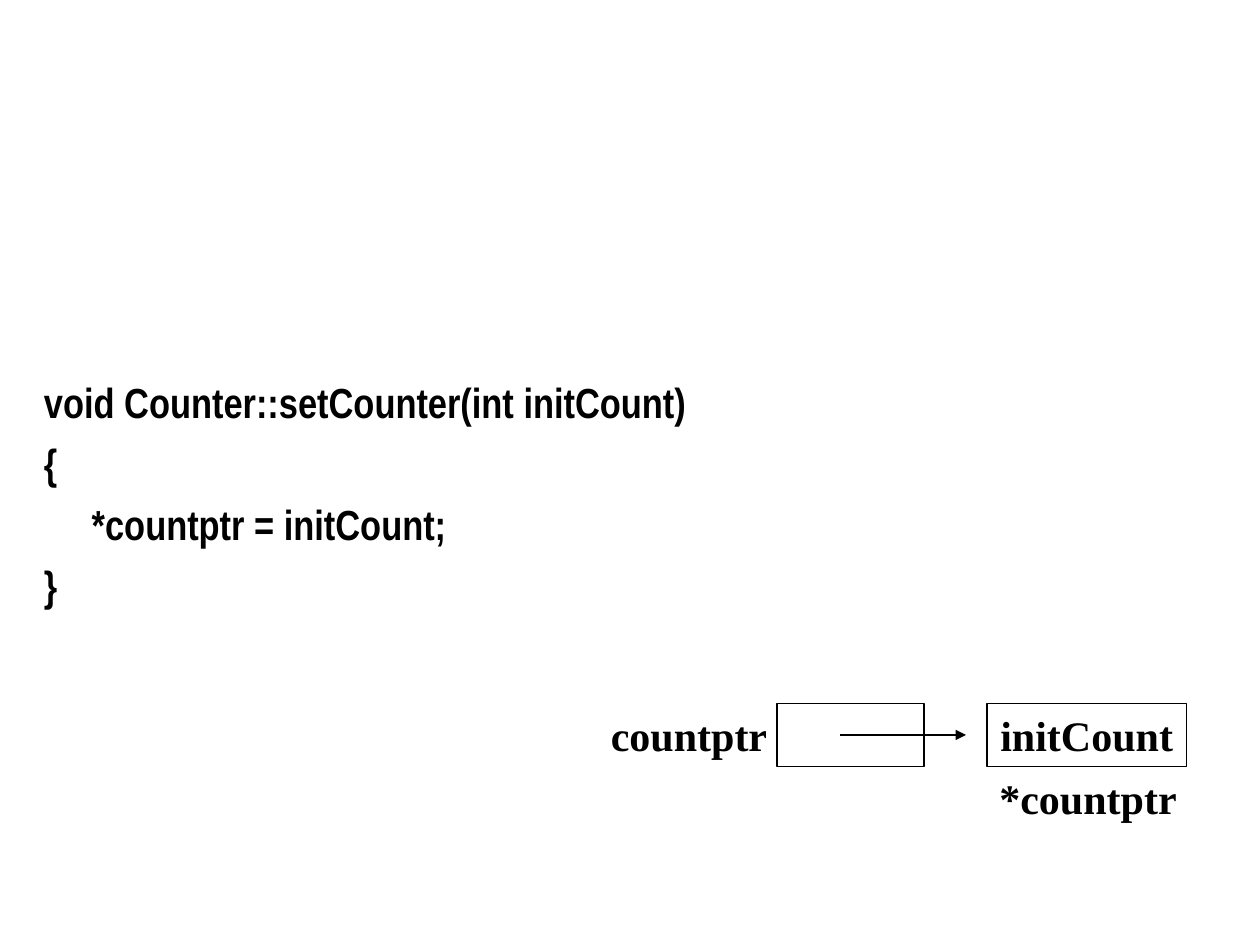
from lxml.etree import SubElement
from pptx import Presentation
from pptx.dml.color import RGBColor
from pptx.enum.shapes import MSO_CONNECTOR, MSO_SHAPE
from pptx.enum.text import MSO_ANCHOR, PP_ALIGN
from pptx.oxml.ns import qn
from pptx.util import Inches, Pt

UNIT = Inches(1) / 12  # grid of 120 columns by 90 rows


def grid(*cells):
    return [round(c * UNIT) for c in cells]


def style(p, name):
    """Give a paragraph the slide's bold black 24-point look."""
    p.font.name, p.font.size, p.font.bold = name, Pt(24), True
    p.font.color.rgb = RGBColor.from_string("000000")


prs = Presentation()
prs.slide_width, prs.slide_height = grid(120, 90)
s = prs.slides.add_slide(prs.slide_layouts[6])

# Function definition
code = ["void Counter::setCounter(int initCount)", "{", "\t*countptr = initCount;", "}"]
tf = s.shapes.add_textbox(*grid(3, 20, 114, 54)).text_frame
tf.word_wrap = True
tf.vertical_anchor = MSO_ANCHOR.MIDDLE
for i, line in enumerate(code):
    p = tf.add_paragraph() if i else tf.paragraphs[0]
    p.text = line
    pPr = p._p.get_or_add_pPr()
    pPr.set("marL", str(Inches(0.38)))
    pPr.set("indent", str(-Inches(0.38)))
    if i:
        p.space_before = Pt(6)
    style(p, "Arial Narrow")

# Memory cells: the value and the pointer
for left, width, text in [(94, 19, "initCount"), (74, 14, "")]:
    sp = s.shapes.add_shape(MSO_SHAPE.RECTANGLE, *grid(left, 67, width, 6))
    sp.shadow.inherit = False
    sp.fill.solid()
    sp.fill.fore_color.rgb = RGBColor.from_string("FFFFFF")
    sp.line.color.rgb = RGBColor.from_string("000000")
    sp.line.width = Pt(1)
    if text:
        tf = sp.text_frame
        tf.word_wrap = False
        tf.vertical_anchor = MSO_ANCHOR.MIDDLE
        p = tf.paragraphs[0]
        p.text = text
        p.alignment = PP_ALIGN.CENTER
        style(p, "Times New Roman")

# Cell names
for left, top, width, text in [(57, 67, 21.4, "countptr"), (94, 73, 19.4, "*countptr")]:
    tf = s.shapes.add_textbox(*grid(left, top, width, 6)).text_frame
    tf.word_wrap = True
    p = tf.paragraphs[0]
    p.text = text
    style(p, "Times New Roman")

# Arrow from the pointer to the value
arrow = s.shapes.add_connector(MSO_CONNECTOR.STRAIGHT, *grid(80, 70, 92, 70))
arrow.line.color.rgb = RGBColor.from_string("000000")
arrow.line.width = Pt(1)
SubElement(arrow.line._get_or_add_ln(), qn("a:tailEnd"), type="triangle")
SubElement(arrow._element.spPr, qn("a:effectLst"))

prs.save("out.pptx")
